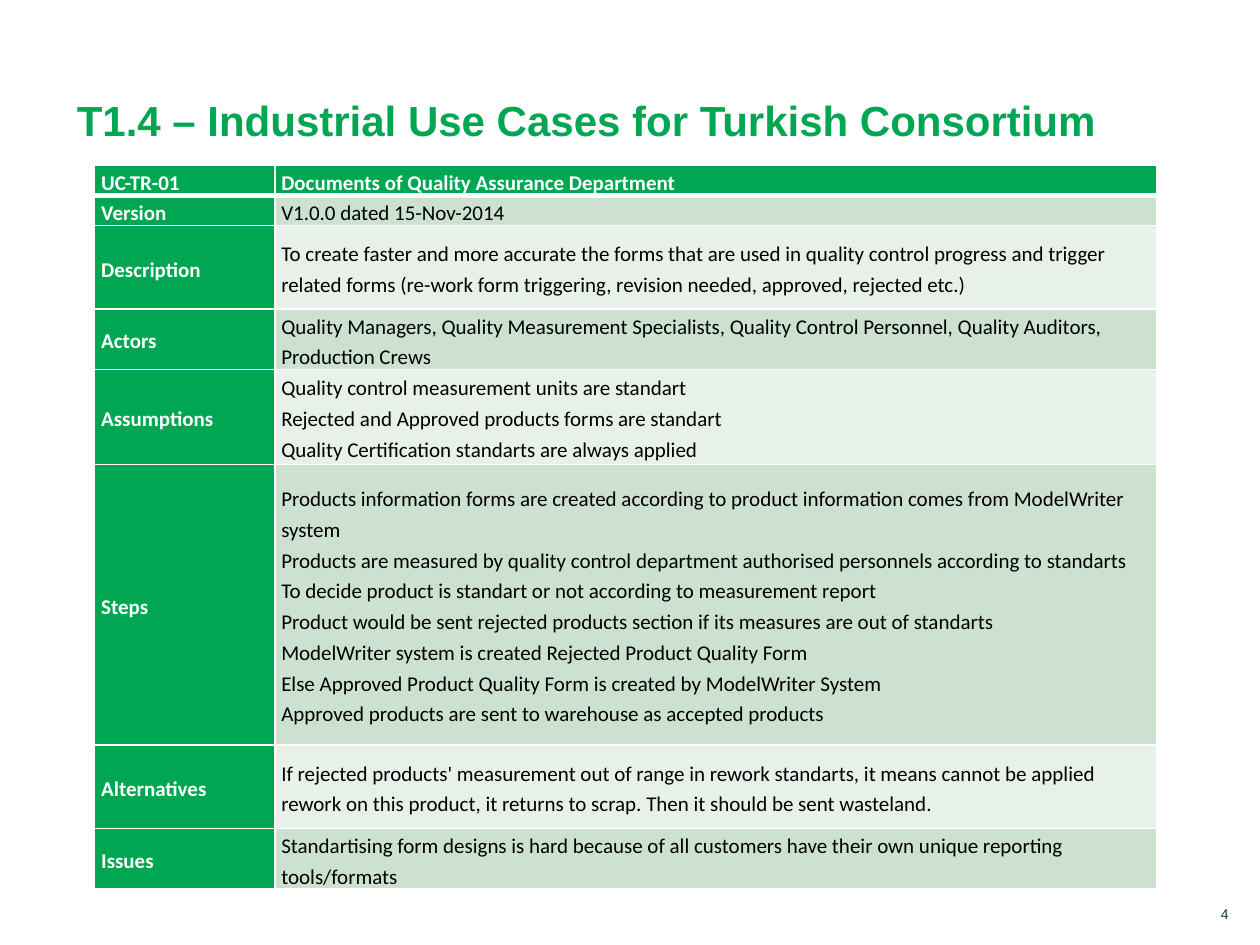
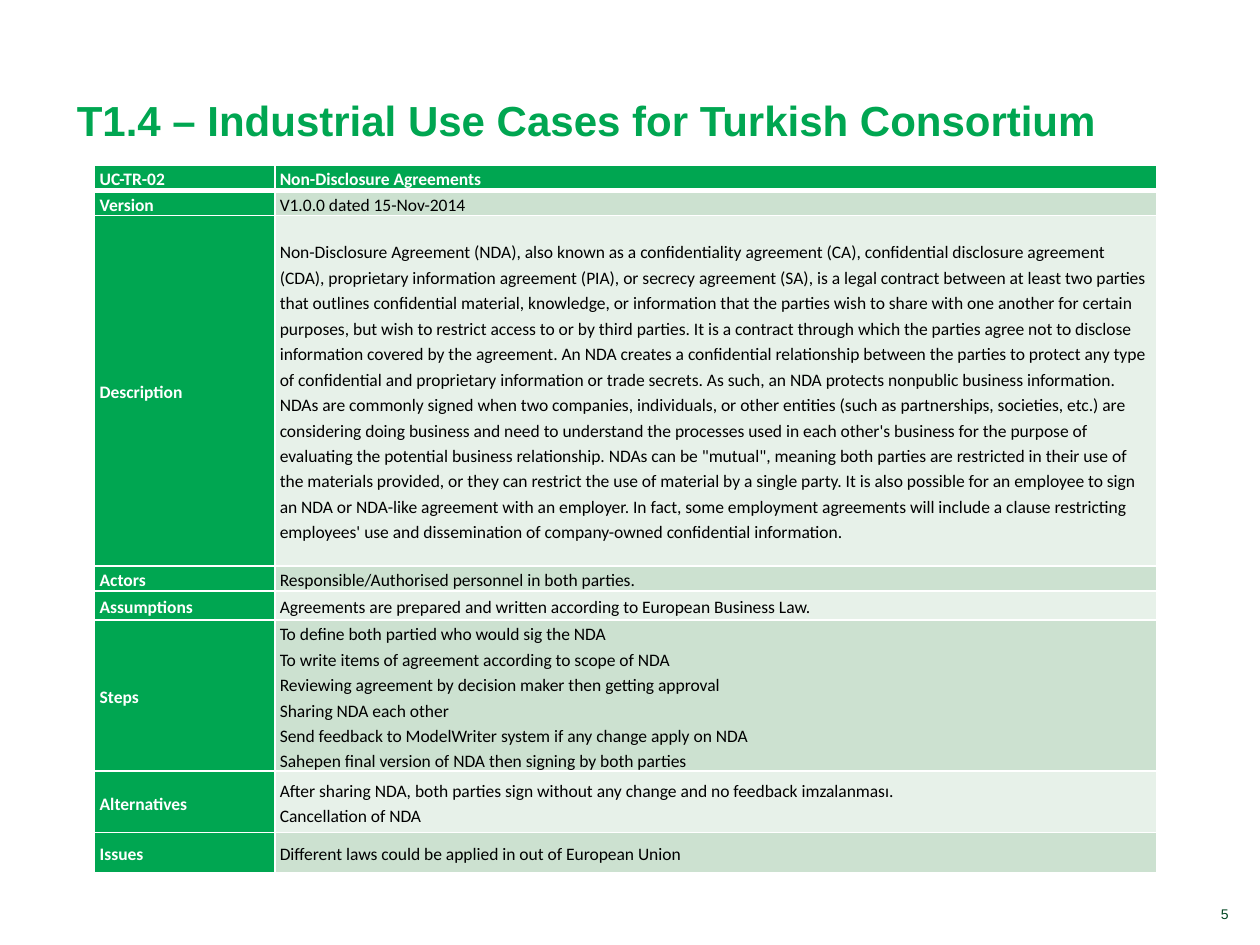
from lxml.etree import SubElement
from pptx import Presentation
from pptx.dml.color import RGBColor
from pptx.enum.text import MSO_ANCHOR as Anchor, PP_ALIGN as Align
from pptx.oxml.ns import qn
from pptx.util import Cm, Pt

GREEN = RGBColor(0x00, 0xA6, 0x51)
DARK_GREEN = RGBColor(0x00, 0x46, 0x21)
BAND_DARK = RGBColor(0xCC, 0xE1, 0xD0)
BAND_LIGHT = RGBColor(0xE7, 0xF1, 0xE9)
WHITE = RGBColor(0xFF, 0xFF, 0xFF)
BLACK = RGBColor(0x00, 0x00, 0x00)

TITLE = "T1.4 – Industrial Use Cases for Turkish Consortium"
LABEL_WIDTH, DETAIL_WIDTH = 3.63, 17.77

USE_CASES = [
    {
        "number": 4, "size": 12, "inset": 0.13,
        "rows": [
            (0.56, "UC-TR-01", ["Documents of Quality Assurance Department"]),
            (0.56, "Version", ["V1.0.0 dated 15-Nov-2014"]),
            (1.68, "Description", [
                "To create faster and more accurate the forms that are used in quality control "
                "progress and trigger related forms (re-work form triggering, revision needed, "
                "approved, rejected etc.)"]),
            (1.12, "Actors", [
                "Quality Managers, Quality Measurement Specialists, Quality Control Personnel, "
                "Quality Auditors, Production Crews"]),
            (1.91, "Assumptions", [
                "Quality control measurement units are standart",
                "Rejected and Approved products forms are standart",
                "Quality Certification standarts are always applied"]),
            (5.66, "Steps", [
                "Products information forms are created according to product information comes "
                "from ModelWriter system",
                "Products are measured by quality control department authorised personnels "
                "according to standarts",
                "To decide product is standart or not according to measurement report",
                "Product would be sent rejected products section if its measures are out of standarts",
                "ModelWriter system is created Rejected Product Quality Form",
                "Else Approved Product Quality Form is created by ModelWriter System",
                "Approved products are sent to warehouse as accepted products"]),
            (1.68, "Alternatives", [
                "If rejected products' measurement out of range in rework standarts, it means "
                "cannot be applied rework on this product, it returns to scrap. Then it should "
                "be sent wasteland."]),
            (1.12, "Issues", [
                "Standartising form designs is hard because of all customers have their own "
                "unique reporting tools/formats"]),
        ],
    },
    {
        "number": 5, "size": 10, "inset": 0.1,
        "rows": [
            (0.41, "UC-TR-02", ["Non-Disclosure Agreements"]),
            (0.41, "Version", ["V1.0.0 dated 15-Nov-2014"]),
            (7.06, "Description", [
                "Non-Disclosure Agreement (NDA), also known as a confidentiality agreement (CA), "
                "confidential disclosure agreement (CDA), proprietary information agreement (PIA), "
                "or secrecy agreement (SA), is a legal contract between at least two parties that "
                "outlines confidential material, knowledge, or information that the parties wish "
                "to share with one another for certain purposes, but wish to restrict access to or "
                "by third parties. It is a contract through which the parties agree not to disclose "
                "information covered by the agreement. An NDA creates a confidential relationship "
                "between the parties to protect any type of confidential and proprietary "
                "information or trade secrets. As such, an NDA protects nonpublic business "
                "information.",
                "NDAs are commonly signed when two companies, individuals, or other entities (such "
                "as partnerships, societies, etc.) are considering doing business and need to "
                "understand the processes used in each other's business for the purpose of "
                "evaluating the potential business relationship. NDAs can be \"mutual\", meaning "
                "both parties are restricted in their use of the materials provided, or they can "
                "restrict the use of material by a single party. It is also possible for an "
                "employee to sign an NDA or NDA-like agreement with an employer. In fact, some "
                "employment agreements will include a clause restricting employees' use and "
                "dissemination of company-owned confidential information."]),
            (0.41, "Actors", ["Responsible/Authorised personnel in both parties."]),
            (0.58, "Assumptions", [
                "Agreements are prepared and written according to European Business Law."]),
            (2.54, "Steps", [
                "To define both partied who would sig the NDA",
                "To write items of agreement according to scope of NDA",
                "Reviewing agreement by decision maker then getting approval",
                "Sharing NDA each other",
                "Send feedback to ModelWriter system if any change apply on NDA",
                "Sahepen final version of NDA then signing by both parties"]),
            (1.24, "Alternatives", [
                "After sharing NDA, both parties sign without any change and no feedback imzalanması.",
                "Cancellation of NDA"]),
            (0.81, "Issues", ["Different laws could be applied in out of European Union"]),
        ],
    },
]


def write(paragraph, lines, size, color, bold=False, face="Arial"):
    for index, line in enumerate(lines):
        if index:
            paragraph.add_line_break()
        run = paragraph.add_run()
        run.text = line
        run.font.size = Pt(size)
        run.font.name = face
        run.font.bold = bold
        run.font.color.rgb = color


def draw_borders(cell, widths):
    properties = cell._tc.get_or_add_tcPr()
    for side, width in widths.items():
        line = SubElement(properties, qn(f"a:ln{side}"), w=str(Pt(width)))
        fill = SubElement(line, qn("a:solidFill"))
        SubElement(fill, qn("a:srgbClr"), val=str(WHITE))


deck = Presentation()
deck.slide_width, deck.slide_height = Cm(25.4), Cm(19.05)

for use_case in USE_CASES:
    slide = deck.slides.add_slide(deck.slide_layouts[6])

    heading = slide.shapes.add_textbox(Cm(1.3), Cm(0.74), Cm(21.59), Cm(2.31)).text_frame
    heading.word_wrap = True
    heading.vertical_anchor = Anchor.BOTTOM
    write(heading.paragraphs[0], [TITLE], 24, GREEN, bold=True)

    page = slide.shapes.add_textbox(Cm(21.69), Cm(18.14), Cm(3.33), Cm(0.58)).text_frame
    page.word_wrap = True
    page.vertical_anchor = Anchor.BOTTOM
    page.paragraphs[0].alignment = Align.RIGHT
    write(page.paragraphs[0], [str(use_case["number"])], 8, DARK_GREEN)

    rows = use_case["rows"]
    total_height = sum(height for height, _, _ in rows)
    grid = slide.shapes.add_table(
        len(rows), 2, Cm(1.91), Cm(3.33), Cm(LABEL_WIDTH + DETAIL_WIDTH), Cm(total_height)).table
    grid.first_row = grid.horz_banding = False
    grid.columns[0].width, grid.columns[1].width = Cm(LABEL_WIDTH), Cm(DETAIL_WIDTH)

    for row, (height, label, details) in enumerate(rows):
        grid.rows[row].height = Cm(height)
        for column, lines in enumerate(([label], details)):
            cell = grid.cell(row, column)
            strong = row == 0 or column == 0
            band = BAND_DARK if row % 2 else BAND_LIGHT
            draw_borders(cell, {"L": 1, "R": 1, "T": 3 if row == 1 else 1, "B": 3 if row == 0 else 1})
            cell.fill.solid()
            cell.fill.fore_color.rgb = GREEN if strong else band
            cell.margin_left = cell.margin_right = Cm(use_case["inset"])
            cell.margin_top = cell.margin_bottom = 0
            cell.vertical_anchor = Anchor.TOP if (row, column) == (1, 1) else Anchor.MIDDLE
            paragraph = cell.text_frame.paragraphs[0]
            paragraph.line_spacing = 1.2
            write(paragraph, lines, use_case["size"], WHITE if strong else BLACK, strong, "Calibri")

deck.save("out.pptx")
